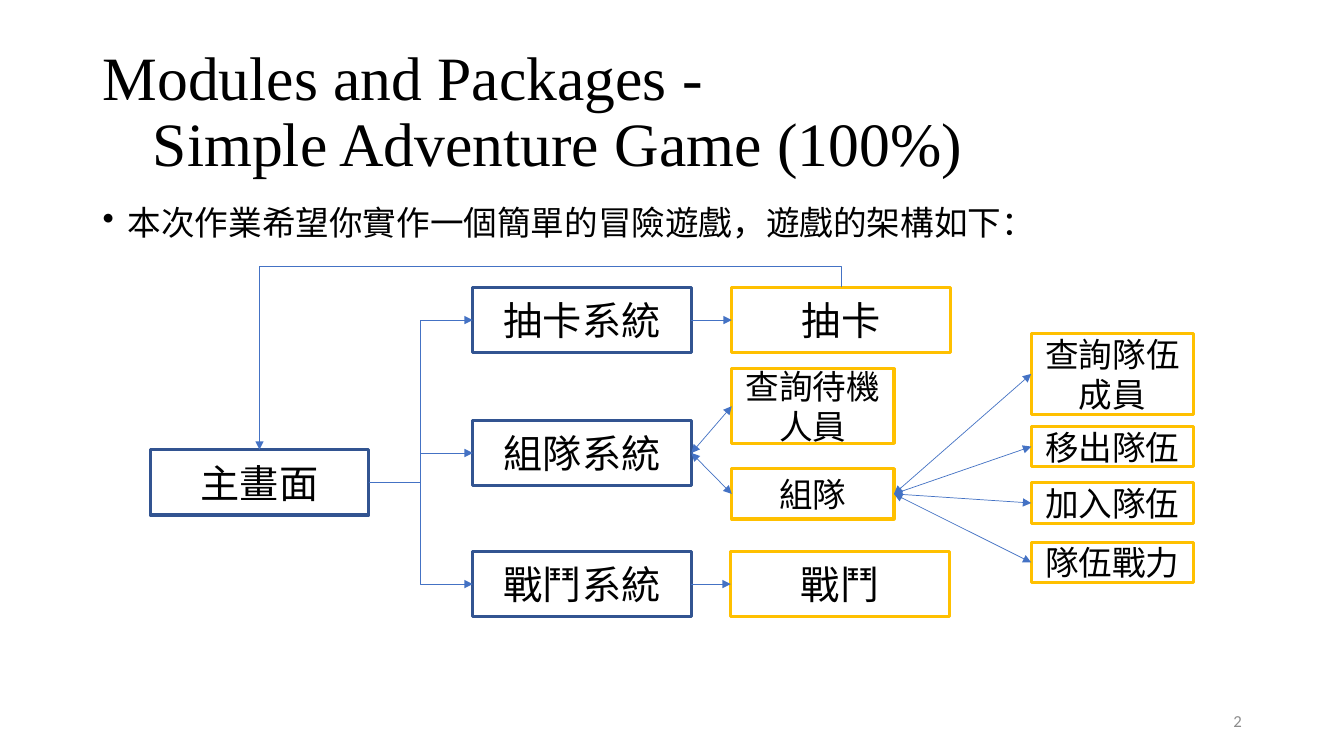
from dataclasses import dataclass

from lxml import etree
from pptx import Presentation
from pptx.dml.color import RGBColor
from pptx.enum.shapes import MSO_CONNECTOR, MSO_SHAPE
from pptx.enum.text import MSO_ANCHOR, PP_ALIGN
from pptx.oxml.ns import qn
from pptx.shapes.autoshape import Shape
from pptx.shapes.connector import Connector
from pptx.slide import Slide
from pptx.text.text import _Paragraph as Paragraph
from pptx.util import Pt

RECTANGLE = MSO_SHAPE.RECTANGLE
STRAIGHT, ELBOW = MSO_CONNECTOR.STRAIGHT, MSO_CONNECTOR.ELBOW
TOP, MIDDLE = MSO_ANCHOR.TOP, MSO_ANCHOR.MIDDLE
LEFT, CENTER, RIGHT = PP_ALIGN.LEFT, PP_ALIGN.CENTER, PP_ALIGN.RIGHT
LEFT_SITE, RIGHT_SITE = 1, 3


@dataclass(frozen=True)
class Theme:
    """Colours, fonts, type sizes and line widths of the slide."""

    text: str = "000000"
    number: str = "8C8C8C"
    system: str = "325491"
    action: str = "FFC000"
    arrow: str = "4472C4"
    heading_font: str = "Times New Roman"
    box_font: str = "Noto Sans CJK SC"
    number_font: str = "Calibri"
    title_size: float = 44
    large_size: float = 28
    body_size: float = 24
    number_size: float = 12
    box_line: float = 2.25
    arrow_line: float = 0.5


THEME = Theme()


@dataclass(frozen=True)
class Label:
    """A text box without an outline."""

    text: str
    left: float
    top: float
    width: float
    height: float
    size: float
    font: str = THEME.heading_font
    color: str = THEME.text
    anchor: MSO_ANCHOR = MIDDLE
    alignment: PP_ALIGN = LEFT
    line_spacing: float = 1.0
    space_before: float = 0
    bullet_indent: float = 0


@dataclass(frozen=True)
class Box:
    """An outlined box of the flow chart."""

    text: str
    left: float
    top: float
    width: float = 156.2
    height: float = 46.8
    color: str = THEME.action
    size: float = THEME.large_size


@dataclass(frozen=True)
class Link:
    """An arrow from the right of one box to the left of another."""

    source: str
    target: str
    kind: MSO_CONNECTOR = STRAIGHT
    two_way: bool = False


SYSTEM_LEFT, ACTION_LEFT, TEAM_LEFT = 337.7, 522.7, 736.6
DRAW_TOP, TEAM_TOP, BATTLE_TOP = 205.2, 300.2, 393.8
SMALL_WIDTH = 115.9
RETURN_RISE = 14.9
MAIN, DRAW, TEAM = "主畫面", "抽卡", "組隊"
SYSTEMS = {"抽卡系統": DRAW_TOP, "組隊系統": TEAM_TOP, "戰鬥系統": BATTLE_TOP}
TEAM_ACTIONS = {
    "查詢隊伍成員": (238.3, 57.6),
    "移出隊伍": (304.6, 28.8),
    "加入隊伍": (344.9, 28.8),
    "隊伍戰力": (387.4, 28.8),
}

LABELS = [
    Label("Modules and Packages -\v\tSimple Adventure Game (100%)", 66.2, 28.8, 828, 104.4,
          THEME.title_size, line_spacing=0.9),
    Label("本次作業希望你實作一個簡單的冒險遊戲，遊戲的架構如下：", 66.2, 144, 828, 38.9,
          THEME.body_size, anchor=TOP, line_spacing=0.9, space_before=10, bullet_indent=18),
    Label("2", 678.2, 500.4, 216, 28.8, THEME.number_size, THEME.number_font,
          THEME.number, alignment=RIGHT),
]
BOXES = [
    Box(MAIN, 107.3, 321.1, color=THEME.system),
    *(Box(name, SYSTEM_LEFT, top, color=THEME.system) for name, top in SYSTEMS.items()),
    Box(DRAW, ACTION_LEFT, DRAW_TOP),
    Box("查詢待機人員", ACTION_LEFT, 263.5, SMALL_WIDTH, 53.3, size=THEME.body_size),
    Box(TEAM, ACTION_LEFT, 334.8, SMALL_WIDTH, 36, size=THEME.body_size),
    Box("戰鬥", ACTION_LEFT - 0.7, BATTLE_TOP),
    *(Box(name, TEAM_LEFT, top, SMALL_WIDTH, height, size=THEME.body_size)
      for name, (top, height) in TEAM_ACTIONS.items()),
]
LINKS = [
    *(Link(MAIN, name, ELBOW) for name in SYSTEMS),
    Link("抽卡系統", DRAW),
    Link("組隊系統", "查詢待機人員", two_way=True),
    Link("組隊系統", TEAM, two_way=True),
    Link("戰鬥系統", "戰鬥"),
    *(Link(TEAM, name, two_way=True) for name in TEAM_ACTIONS),
]


def set_font(paragraph: Paragraph, name: str, size: float, color: str) -> None:
    """Set the font that all runs of a paragraph share."""
    font = paragraph.font
    font.name, font.size = name, Pt(size)
    font.color.rgb = RGBColor.from_string(color)


def add_label(slide: Slide, label: Label) -> None:
    """Draw a text box, with a bullet where it has an indent."""
    shape = slide.shapes.add_textbox(
        Pt(label.left), Pt(label.top), Pt(label.width), Pt(label.height))
    frame = shape.text_frame
    frame.word_wrap, frame.vertical_anchor = True, label.anchor
    paragraph = frame.paragraphs[0]
    paragraph.text, paragraph.alignment = label.text, label.alignment
    if label.bullet_indent:
        properties = paragraph._p.get_or_add_pPr()
        properties.set("marL", str(Pt(label.bullet_indent)))
        properties.set("indent", str(-Pt(label.bullet_indent)))
        etree.SubElement(properties, qn("a:buChar")).set("char", "•")
    paragraph.line_spacing = label.line_spacing
    paragraph.space_before = Pt(label.space_before)
    set_font(paragraph, label.font, label.size, label.color)


def add_box(slide: Slide, box: Box) -> Shape:
    """Draw an outlined box with centred text."""
    shape = slide.shapes.add_shape(
        RECTANGLE, Pt(box.left), Pt(box.top), Pt(box.width), Pt(box.height))
    shape.shadow.inherit = False
    shape.fill.background()
    shape.line.color.rgb = RGBColor.from_string(box.color)
    shape.line.width = Pt(THEME.box_line)
    frame = shape.text_frame
    frame.word_wrap, frame.vertical_anchor = True, MIDDLE
    paragraph = frame.paragraphs[0]
    paragraph.text, paragraph.alignment = box.text, CENTER
    set_font(paragraph, THEME.box_font, box.size, THEME.text)
    return shape


def style_arrow(connector: Connector, two_way: bool = False) -> None:
    """Colour a connector, add its arrowheads and drop its shadow."""
    connector.line.color.rgb = RGBColor.from_string(THEME.arrow)
    connector.line.width = Pt(THEME.arrow_line)
    properties = connector._element.spPr
    line = properties.find(qn("a:ln"))
    for end in ("a:headEnd", "a:tailEnd") if two_way else ("a:tailEnd",):
        etree.SubElement(line, qn(end)).set("type", "triangle")
    etree.SubElement(properties, qn("a:effectLst"))


def add_link(slide: Slide, link: Link, shapes: dict[str, Shape]) -> None:
    """Join two boxes with an arrow."""
    connector = slide.shapes.add_connector(link.kind, Pt(0), Pt(0), Pt(0), Pt(0))
    connector.begin_connect(shapes[link.source], RIGHT_SITE)
    connector.end_connect(shapes[link.target], LEFT_SITE)
    style_arrow(connector, link.two_way)


def add_return_arrow(slide: Slide, source: Shape, target: Shape) -> None:
    """Draw the arrow that runs over the chart from top to top."""
    begin_x, end_x = (shape.left + shape.width // 2 for shape in (source, target))
    middle_x, middle_y = (begin_x + end_x) // 2, (source.top + target.top) // 2
    drop, run = target.top - source.top, begin_x - end_x
    connector = slide.shapes.add_connector(
        ELBOW, middle_x + drop // 2, middle_y + run // 2,
        middle_x - drop // 2, middle_y - run // 2)
    properties = connector._element.spPr
    properties.find(qn("a:xfrm")).set("rot", str(270 * 60000))
    geometry = properties.find(qn("a:prstGeom"))
    adjustments = geometry.find(qn("a:avLst"))
    if adjustments is None:
        adjustments = etree.SubElement(geometry, qn("a:avLst"))
    guide = etree.SubElement(adjustments, qn("a:gd"))
    guide.set("name", "adj1")
    guide.set("fmla", f"val {round(-100000 * Pt(RETURN_RISE) / drop)}")
    style_arrow(connector)


def main() -> None:
    """Build the slide and save it."""
    presentation = Presentation()
    presentation.slide_width, presentation.slide_height = Pt(960), Pt(540)
    slide = presentation.slides.add_slide(presentation.slide_layouts[6])
    for label in LABELS:
        add_label(slide, label)
    shapes = {box.text: add_box(slide, box) for box in BOXES}
    for link in LINKS:
        add_link(slide, link, shapes)
    add_return_arrow(slide, shapes[DRAW], shapes[MAIN])
    presentation.save("out.pptx")


if __name__ == "__main__":
    main()
